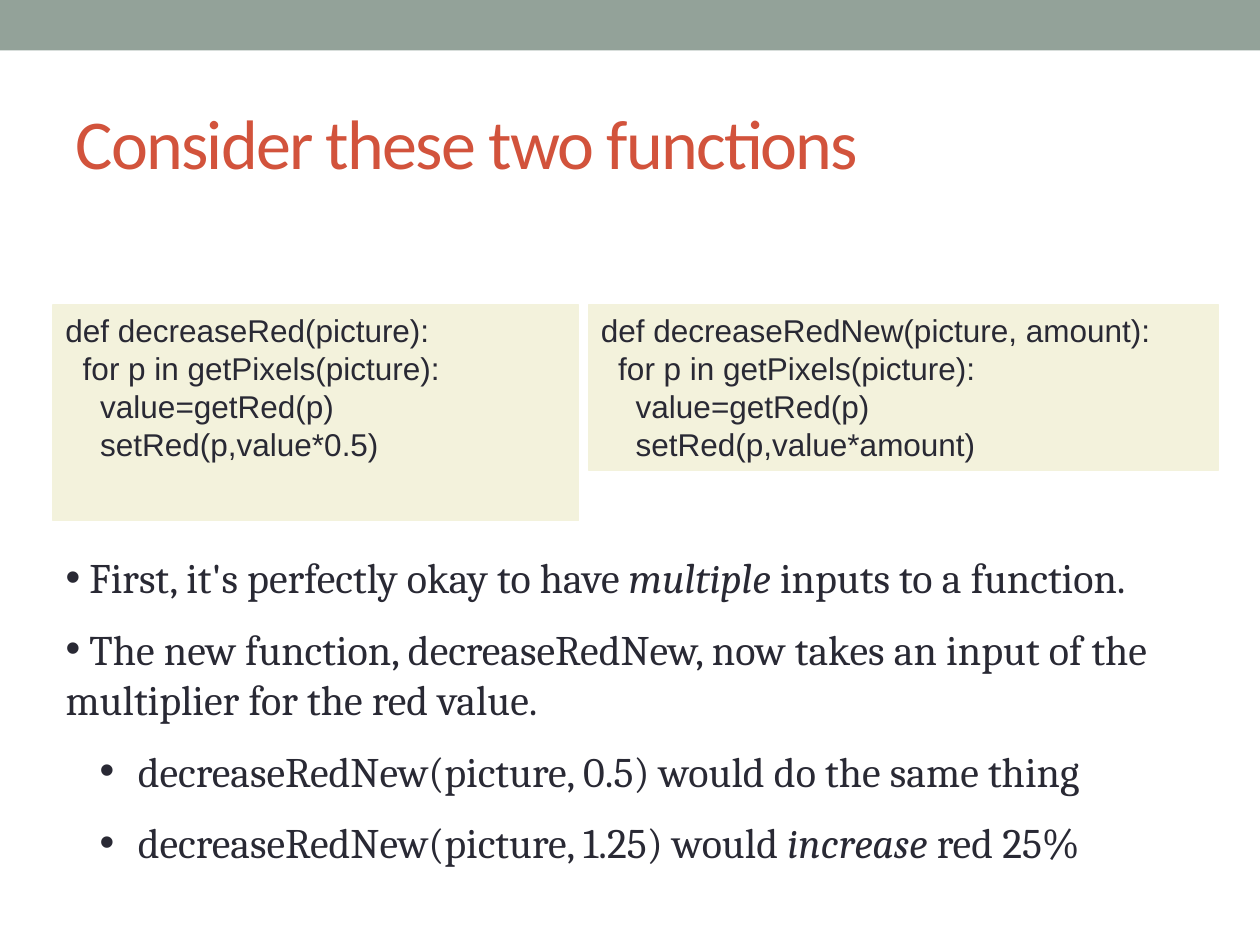
import pptx
import pptx.dml.color
import pptx.enum.shapes
import pptx.enum.text
import pptx.oxml
import pptx.oxml.ns
import pptx.util

Inches = pptx.util.Inches

# Content
TITLE = "Consider these two functions"
CODE_BOXES = [
    # left, width, height, lines
    (0.42, 4.17, 1.71, [
        "def decreaseRed(picture):",
        "  for p in getPixels(picture):",
        "    value=getRed(p)",
        "    setRed(p,value*0.5)",
    ]),
    (4.67, 5, 1.31, [
        "def decreaseRedNew(picture, amount):",
        "  for p in getPixels(picture):",
        "    value=getRed(p)",
        "    setRed(p,value*amount)",
    ]),
]
# Each bullet: level, then (text, italic) runs
BULLETS = [
    (0, [(" First, it's perfectly okay to have ", False), ("multiple", True),
         (" inputs to a function.", False)]),
    (0, [(" The new function, decreaseRedNew, now takes an input of the "
          "multiplier for the red value.", False)]),
    (1, [(" decreaseRedNew(picture, 0.5) would do the same thing", False)]),
    (1, [(" decreaseRedNew(picture, 1.25) would ", False), ("increase", True),
         (" red 25%", False)]),
]

# Colours, and (font, size, colour) for each kind of text
THEME = {
    "bar": "93A299",
    "code_fill": "F3F2DC",
    "title": ("Calibri", 40, "D2533C"),
    "code": ("Arial", 18, "292934"),
    "body": ("Cambria", 24, "292934"),
}
CODE_TOP = 2.42
# Left margin and first-line indent by level
BULLET_INDENTS = [(0, 0), (0.5, -0.23)]


def color(name):
    return pptx.dml.color.RGBColor.from_string(name)


def add_run(paragraph, text, style, italic=False):
    run = paragraph.add_run()
    run.text = text
    name, size, text_color = THEME[style]
    run.font.name = name
    run.font.size = pptx.util.Pt(size)
    run.font.color.rgb = color(text_color)
    run.font.italic = italic
    return run


def add_rectangle(slide, left, top, width, height, fill):
    shape = slide.shapes.add_shape(
        pptx.enum.shapes.MSO_SHAPE.RECTANGLE,
        Inches(left), Inches(top), Inches(width), Inches(height))
    shape.shadow.inherit = False
    shape.fill.solid()
    shape.fill.fore_color.rgb = color(fill)
    shape.line.fill.background()
    return shape


def place(shape, left, top, width, height):
    shape.left, shape.top = Inches(left), Inches(top)
    shape.width, shape.height = Inches(width), Inches(height)


def prepare_frame(shape, anchor):
    frame = shape.text_frame
    frame.word_wrap = True
    frame.auto_size = pptx.enum.text.MSO_AUTO_SIZE.NONE
    frame.vertical_anchor = anchor
    return frame


def paragraphs_for(frame, items):
    for index, item in enumerate(items):
        paragraph = frame.add_paragraph() if index else frame.paragraphs[0]
        paragraph.alignment = pptx.enum.text.PP_ALIGN.LEFT
        yield paragraph, item


def format_bullet(paragraph, level):
    paragraph.level = level
    margin, indent = BULLET_INDENTS[level]
    properties = paragraph._p.get_or_add_pPr()
    properties.set("marL", str(Inches(margin)))
    properties.set("indent", str(Inches(indent)))
    namespace = pptx.oxml.ns.nsdecls("a")
    for xml in (f'<a:spcBef {namespace}><a:spcPct val="50000"/></a:spcBef>',
                f'<a:buFont {namespace} typeface="Arial"/>',
                f'<a:buChar {namespace} char="•"/>'):
        properties.append(pptx.oxml.parse_xml(xml))


def main():
    presentation = pptx.Presentation()
    presentation.slide_width, presentation.slide_height = Inches(10), Inches(7.5)
    slide = presentation.slides.add_slide(presentation.slide_layouts[1])
    anchors = pptx.enum.text.MSO_ANCHOR

    # Top bar
    add_rectangle(slide, 0, 0, 10, 0.4, THEME["bar"])

    # Title
    title = slide.shapes.title
    place(title, 0.5, 0.58, 9, 1.08)
    frame = prepare_frame(title, anchors.MIDDLE)
    for paragraph, text in paragraphs_for(frame, [TITLE]):
        run = add_run(paragraph, text, "title")
        run._r.get_or_add_rPr().set("spc", "-100")

    # Code boxes
    for left, width, height, lines in CODE_BOXES:
        box = add_rectangle(slide, left, CODE_TOP, width, height, THEME["code_fill"])
        box.line.color.rgb = color(THEME["code_fill"])
        box.line.width = pptx.util.Pt(0.75)
        frame = prepare_frame(box, anchors.TOP)
        for paragraph, text in paragraphs_for(frame, lines):
            add_run(paragraph, text, "code")

    # Bullet list
    body = slide.placeholders[1]
    place(body, 0.42, 4.33, 9.25, 2.73)
    frame = prepare_frame(body, anchors.TOP)
    for paragraph, (level, runs) in paragraphs_for(frame, BULLETS):
        format_bullet(paragraph, level)
        for text, italic in runs:
            add_run(paragraph, text, "body", italic)

    presentation.save("out.pptx")


if __name__ == "__main__":
    main()
